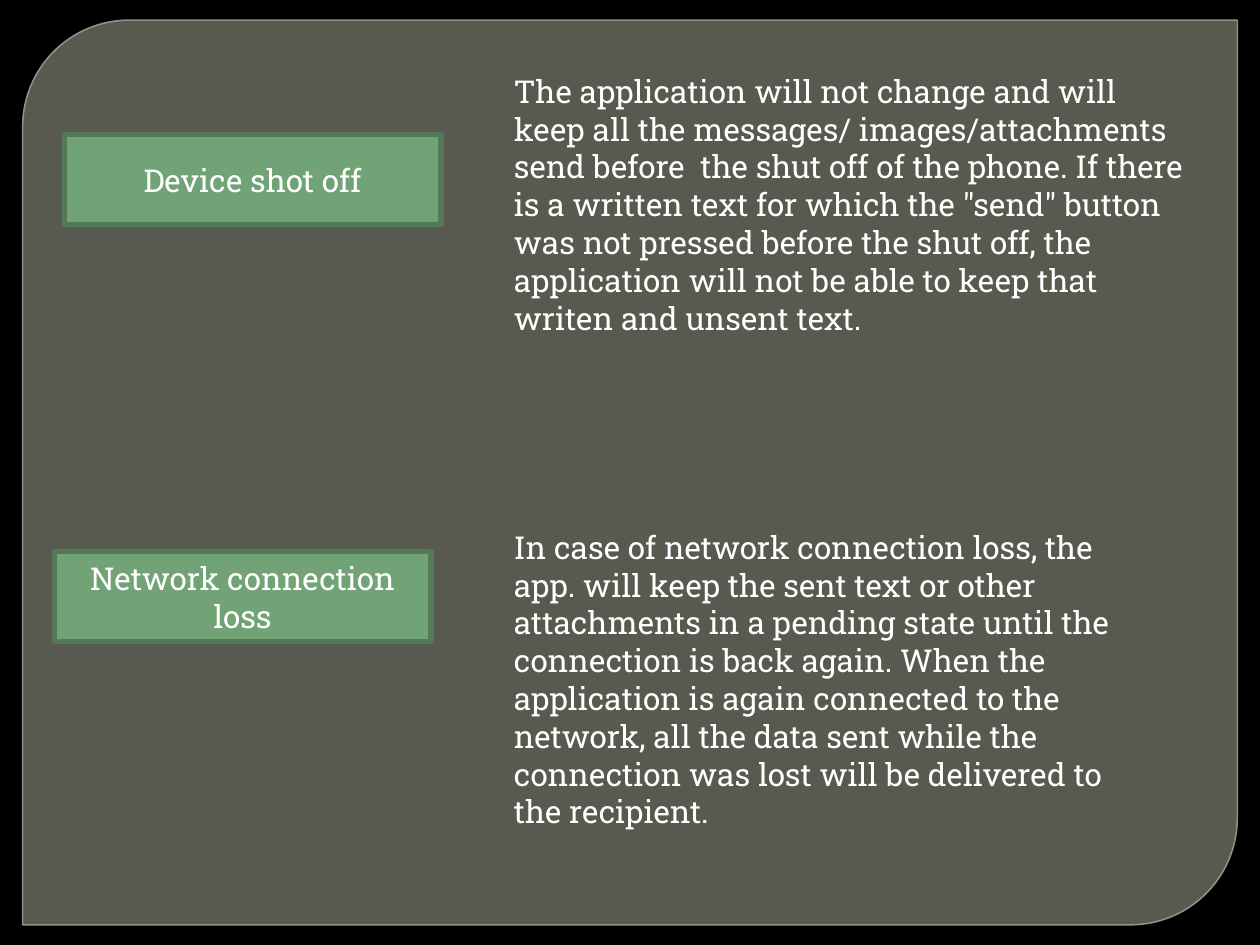
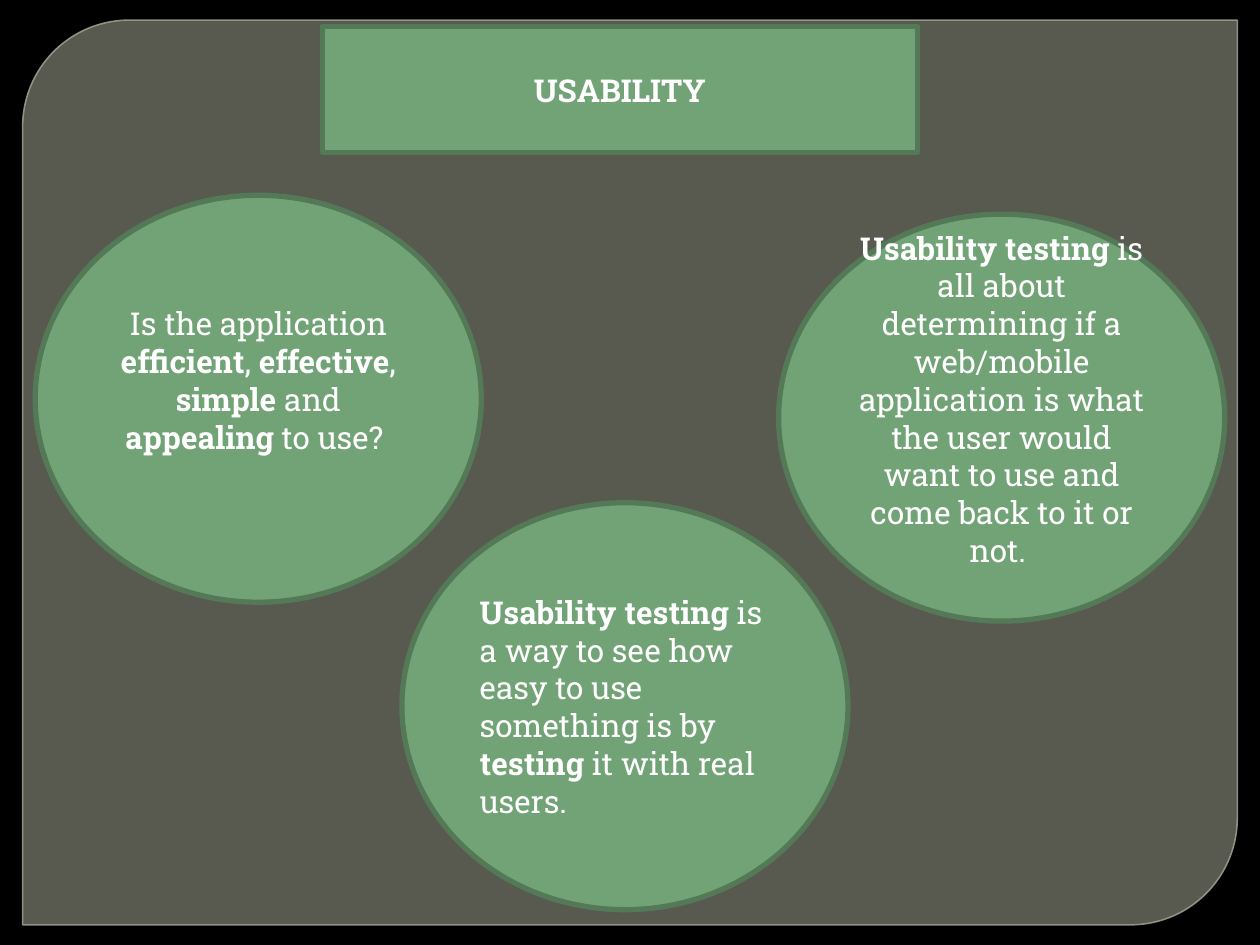
from lxml.etree import SubElement
from pptx import Presentation
from pptx.dml.color import RGBColor
from pptx.enum.shapes import MSO_SHAPE
from pptx.enum.text import MSO_ANCHOR, MSO_AUTO_SIZE, PP_ALIGN
from pptx.oxml.ns import qn
from pptx.util import Inches, Pt

BLACK = RGBColor(0x00, 0x00, 0x00)
WHITE = RGBColor(0xFF, 0xFF, 0xFF)
GREEN = RGBColor(0x72, 0xA3, 0x76)
DARK_GREEN = RGBColor(0x54, 0x79, 0x57)
FRAME_FILL = RGBColor(0x88, 0x8B, 0x7B)
FRAME_LINE = RGBColor(0x9D, 0xA0, 0x90)

FONT = "Roboto Slab"
TEXT_SIZE = Pt(18)
SLIDE_WIDTH, SLIDE_HEIGHT = Inches(10), Inches(7.5)
COLUMN, ROW = SLIDE_WIDTH / 100, SLIDE_HEIGHT / 75
TITLE_ONLY, BLANK = 5, 6

LABEL_SIZE = (29.9, 7.1)
CIRCLE_SIZE = (35.4, 32.3)
ANSWER_LEFT = 39.8
ANSWER_HEIGHT = 25.2

SHUT_OFF = (
    "The application will not change and will keep all the messages/ "
    "images/attachments send before  the shut off of the phone. If there is a "
    'written text for which the "send" button was not pressed before the shut '
    "off, the application will not be able to keep that writen and unsent text."
)
CONNECTION_LOSS = (
    "In case of network connection loss, the app. will keep the sent text or "
    "other attachments in a pending state until the connection is back again. "
    "When the application is again connected to the network, all the data sent "
    "while the connection was lost will be delivered to the recipient."
)
QUESTION = (
    "Is the application *efficient*, *effective*, *simple* and *appealing* to use? "
)
EASE_OF_USE = (
    "*Usability testing* is a way to see how easy to use something is "
    "by *testing* it with real users."
)
USER_RETURN = (
    "*Usability testing *is all about determining if a web/mobile application "
    "is what the user would want to use and come back to it or not. "
)


def grid(left, top, width, height):
    return (
        round(left * COLUMN),
        round(top * ROW),
        round(width * COLUMN),
        round(height * ROW),
    )


def paint(shape, fill, line, line_width):
    shape.fill.solid()
    shape.fill.fore_color.rgb = fill
    shape.line.color.rgb = line
    shape.line.width = Pt(line_width)


def set_opacity(shape, fill_percent, line_percent):
    properties = shape.element.spPr
    fill = properties.find(qn("a:solidFill"))
    line = properties.find(qn("a:ln")).find(qn("a:solidFill"))
    for paint_fill, percent in ((fill, fill_percent), (line, line_percent)):
        alpha = SubElement(paint_fill.find(qn("a:srgbClr")), qn("a:alpha"))
        alpha.set("val", str(percent * 1000))


def write(shape, text, align=PP_ALIGN.CENTER, anchor=MSO_ANCHOR.MIDDLE):
    frame = shape.text_frame
    frame.word_wrap = True
    frame.auto_size = MSO_AUTO_SIZE.NONE
    frame.vertical_anchor = anchor
    para = frame.paragraphs[0]
    para.alignment = align
    for index, part in enumerate(text.split("*")):
        if part:
            span = para.add_run()
            span.text = part
            span.font.name = FONT
            span.font.size = TEXT_SIZE
            span.font.bold = index % 2 == 1
            span.font.color.rgb = WHITE


def add_panel(page, kind, left, top, size, text, align=PP_ALIGN.CENTER):
    panel = page.shapes.add_shape(kind, *grid(left, top, *size))
    panel.shadow.inherit = False
    paint(panel, GREEN, DARK_GREEN, 3)
    write(panel, text, align)
    return panel


def add_answer(page, top, width, text):
    box = page.shapes.add_textbox(*grid(ANSWER_LEFT, top, width, ANSWER_HEIGHT))
    write(box, text, PP_ALIGN.LEFT, MSO_ANCHOR.TOP)


def add_title(page, text):
    title = page.shapes.title
    title.left, title.top, title.width, title.height = grid(25.6, 2.1, 47.2, 10)
    paint(title, GREEN, DARK_GREEN, 3)
    write(title, text)


def style_master(deck, page):
    master = deck.slide_master
    master.background.fill.solid()
    master.background.fill.fore_color.rgb = BLACK
    frame = page.shapes.add_shape(
        MSO_SHAPE.ROUND_2_DIAG_RECTANGLE, *grid(1.8, 1.6, 96.4, 71.8)
    )
    frame.adjustments[0] = 0.118
    frame.adjustments[1] = 0
    frame.shadow.inherit = False
    paint(frame, FRAME_FILL, FRAME_LINE, 0.87)
    set_opacity(frame, 65, 88)
    frame.element.nvSpPr.cNvPr.set("id", "20")
    master.shapes.element.insert(2, frame.element)


def fill_failures(page):
    add_panel(page, MSO_SHAPE.RECTANGLE, 5.1, 10.7, LABEL_SIZE, "Device shot off")
    add_panel(
        page, MSO_SHAPE.RECTANGLE, 4.3, 43.8, LABEL_SIZE, "Network connection loss"
    )
    add_answer(page, 5.2, 55.9, SHUT_OFF)
    add_answer(page, 41.4, 52, CONNECTION_LOSS)


def fill_usability(page):
    add_title(page, "*USABILITY*")
    question = add_panel(page, MSO_SHAPE.OVAL, 2.8, 15.5, CIRCLE_SIZE, QUESTION)
    add_panel(
        page, MSO_SHAPE.OVAL, 31.9, 39.9, CIRCLE_SIZE, EASE_OF_USE, PP_ALIGN.LEFT
    )
    user_return = add_panel(page, MSO_SHAPE.OVAL, 61.8, 17, CIRCLE_SIZE, USER_RETURN)
    for circle in (question, user_return):
        circle.text_frame.margin_bottom = Inches(0.35)


def main():
    deck = Presentation()
    deck.slide_width, deck.slide_height = SLIDE_WIDTH, SLIDE_HEIGHT
    failures = deck.slides.add_slide(deck.slide_layouts[BLANK])
    usability = deck.slides.add_slide(deck.slide_layouts[TITLE_ONLY])
    style_master(deck, failures)
    fill_failures(failures)
    fill_usability(usability)
    deck.save("out.pptx")


if __name__ == "__main__":
    main()
